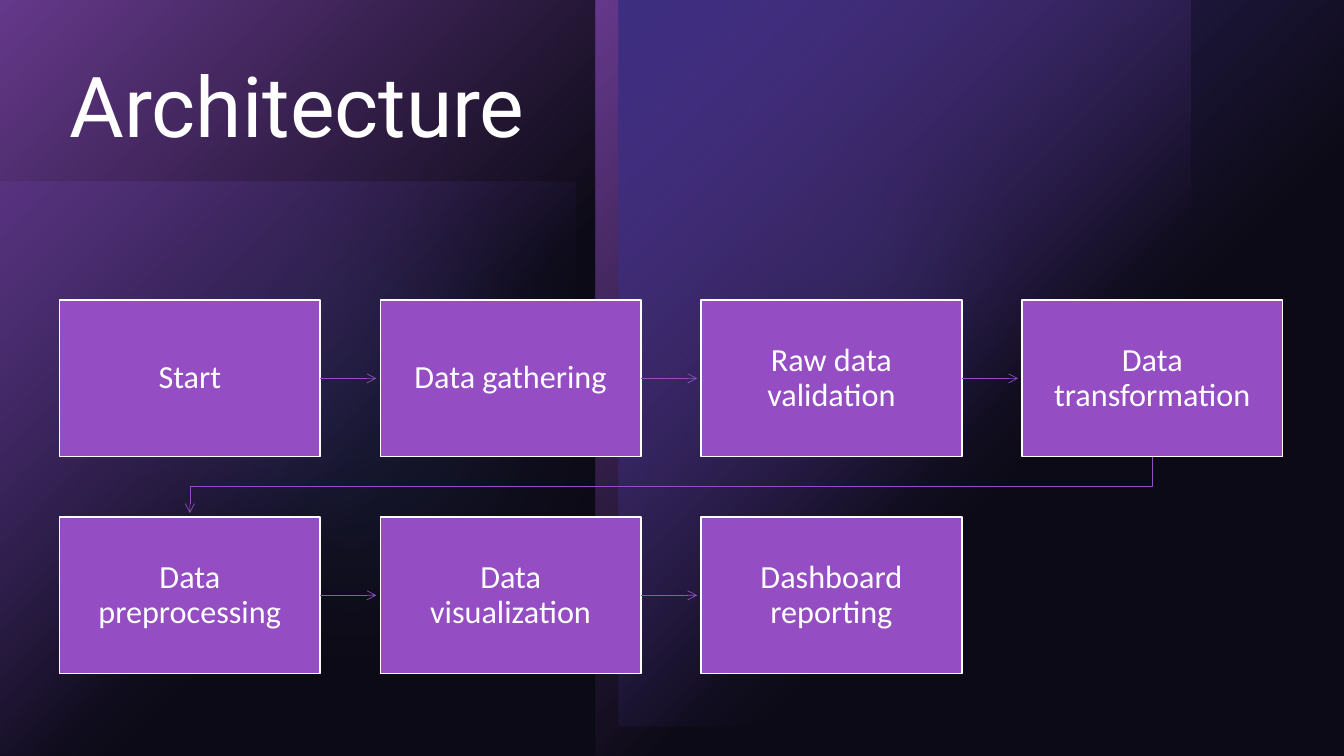
import pptx
import pptx.dml.color
import pptx.enum.dml
import pptx.enum.shapes
import pptx.enum.text
import pptx.oxml
import pptx.oxml.ns
import pptx.util
from lxml import etree

PURPLE, INDIGO, BLUE, WHITE = "944DC3", "503BB1", "4D68C3", "FFFFFF"
KIND = pptx.enum.shapes.MSO_SHAPE
qn = pptx.oxml.ns.qn


def paint(fill, color):
    """Fill an area, a line or a font with one hex colour."""
    fill.solid()
    fill.fore_color.rgb = pptx.dml.color.RGBColor.from_string(color)


def write(shape, text, size, font, alignment, anchor):
    """Put one white run of text into a shape."""
    frame = shape.text_frame
    frame.word_wrap = True
    frame.vertical_anchor = anchor
    paragraph = frame.paragraphs[0]
    paragraph.alignment = alignment
    paragraph.line_spacing = 0.9
    run = paragraph.add_run()
    run.text = text
    run.font.size = pptx.util.Pt(size)
    run.font.name = font
    paint(run.font.fill, WHITE)


presentation = pptx.Presentation()
presentation.slide_width = pptx.util.Inches(13.33)
presentation.slide_height = pptx.util.Inches(7.5)
slide = presentation.slides.add_slide(presentation.slide_layouts[6])
shapes = slide.shapes
paint(slide.background.fill, "000000")

# One percent of the slide's width and height
across = presentation.slide_width / 100
down = presentation.slide_height / 100

# Background: kind, left, top, width, height in percent, colour, opacity.
# Two opacities make a diagonal fade; ellipses get soft edges.
glows = [
    (KIND.RECTANGLE, 0, 24, 42.8, 76, INDIGO, [60, 0]),
    (KIND.OVAL, 47.2, 5.7, 35.4, 62.9, BLUE, [60]),
    (KIND.OVAL, 0, 7.5, 52.1, 92.5, BLUE, [20]),
    (KIND.RECTANGLE, 0, 0, 44.3, 100, PURPLE, [100, 0]),
    (KIND.RECTANGLE, 44.3, 0, 44.3, 100, PURPLE, [100, 0]),
    (KIND.RECTANGLE, 46, 0, 54, 96.1, INDIGO, [100, 0]),
    (KIND.RECTANGLE, 0, 0, 100, 100, "201B38", [40]),
]
for kind, left, top, width, height, color, opacities in glows:
    glow = shapes.add_shape(kind, int(left * across), int(top * down),
                            int(width * across), int(height * down))
    glow.shadow.inherit = False
    glow.line.fill.background()
    if len(opacities) == 2:
        glow.fill.gradient()
        glow.fill.gradient_angle = 315
        for stop, position in zip(glow.fill.gradient_stops, (0, 0.6)):
            stop.position = position
            stop.color.rgb = pptx.dml.color.RGBColor.from_string(color)
    else:
        paint(glow.fill, color)
    properties = glow.element.spPr
    for tint, opacity in zip(properties.iter(qn("a:srgbClr")), opacities):
        for modifier in list(tint):
            tint.remove(modifier)
        etree.SubElement(tint, qn("a:alpha"), val=str(opacity * 1000))
    if kind == KIND.OVAL:
        etree.SubElement(properties.find(qn("a:effectLst")), qn("a:softEdge"),
                         rad=str(pptx.util.Inches(1.39)))

# Card grid
columns = 4
margin, card_width, column_step = 4.43 * across, 19.4 * across, 23.87 * across
first_row, card_height, row_step = 39.7 * down, 20.7 * down, 28.7 * down
arrow_gap = 0.3 * across

title = shapes.add_textbox(int(margin), int(7.9 * down), int(91.1 * across), int(26.4 * down))
write(title, "Architecture", 60, "Roboto", pptx.enum.text.PP_ALIGN.LEFT,
      pptx.enum.text.MSO_ANCHOR.TOP)

steps = ["Start", "Data gathering", "Raw data validation", "Data transformation",
         "Data preprocessing", "Data visualization", "Dashboard reporting"]
arrows = []
for index, step in enumerate(steps):
    row, column = divmod(index, columns)
    left, top = margin + column * column_step, first_row + row * row_step
    card = shapes.add_shape(KIND.RECTANGLE, int(left), int(top),
                            int(card_width), int(card_height))
    card.shadow.inherit = False
    paint(card.fill, PURPLE)
    paint(card.line.fill, WHITE)
    card.line.width = pptx.util.Pt(1)
    frame = card.text_frame
    frame.margin_left = frame.margin_right = pptx.util.Inches(0.18)
    frame.margin_top = frame.margin_bottom = pptx.util.Inches(0.18)
    write(card, step, 23, "Calibri", pptx.enum.text.PP_ALIGN.CENTER,
          pptx.enum.text.MSO_ANCHOR.MIDDLE)

    if index == len(steps) - 1:
        continue
    if column < columns - 1:
        middle = int(top + card_height / 2)
        arrows.append(shapes.add_connector(
            pptx.enum.shapes.MSO_CONNECTOR.STRAIGHT, int(left + card_width), middle,
            int(left + column_step - arrow_gap), middle))
    else:
        start, end = left + card_width / 2, margin + card_width / 2
        bend = top + card_height + 4 * down
        builder = shapes.build_freeform(int(start), int(top + card_height))
        builder.add_line_segments([(int(start), int(bend)), (int(end), int(bend)),
                                   (int(end), int(top + row_step - arrow_gap))], close=False)
        turn = builder.convert_to_shape()
        turn.fill.background()
        arrows.append(turn)

for arrow in arrows:
    paint(arrow.line.fill, PURPLE)
    arrow.line.width = pptx.util.Pt(0.5)
    properties = arrow.element.spPr
    etree.SubElement(properties.find(qn("a:ln")), qn("a:tailEnd"), type="arrow")
    etree.SubElement(properties, qn("a:effectLst"))

presentation.save("out.pptx")
